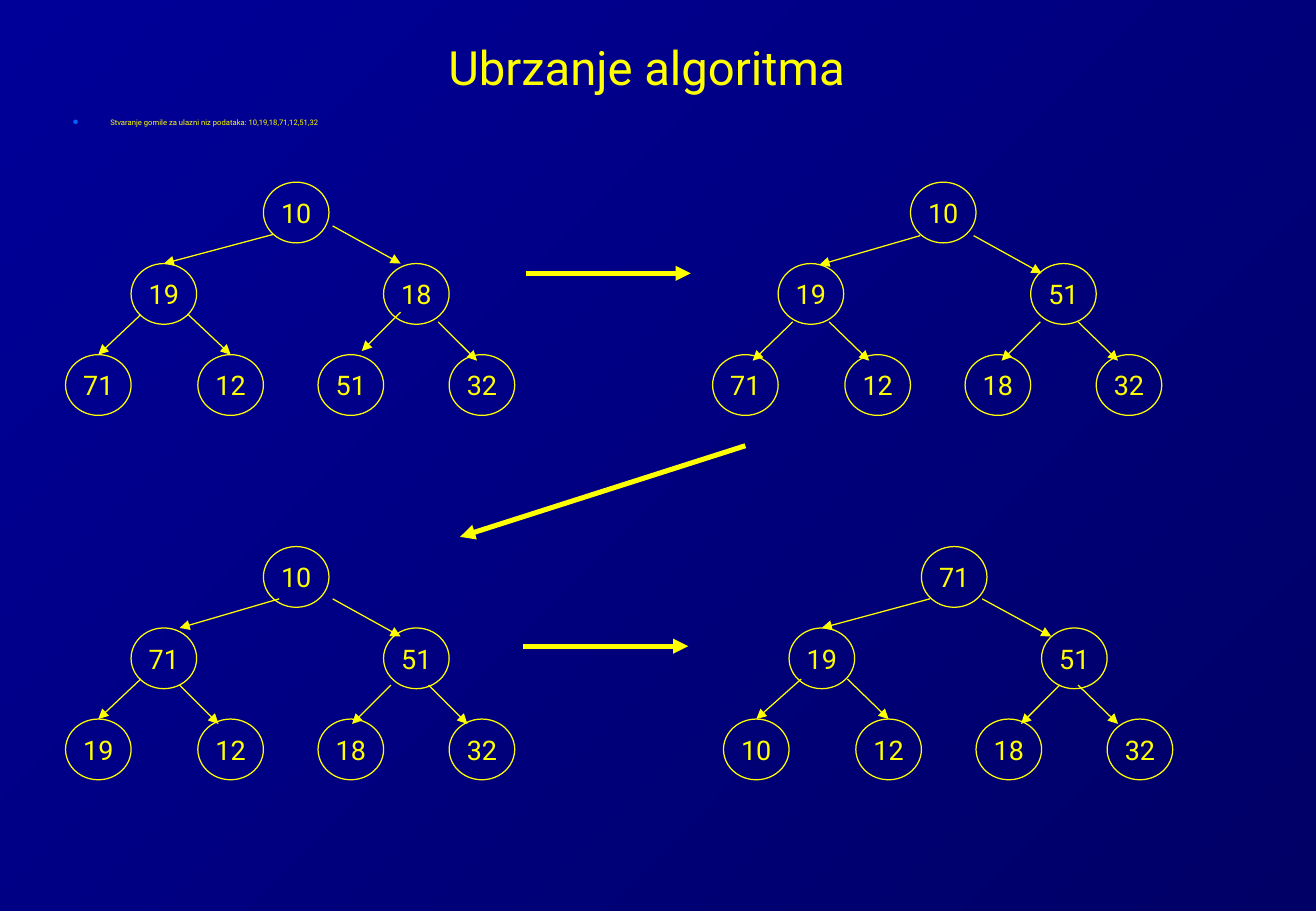
import pptx
import pptx.dml.color
import pptx.enum.shapes
import pptx.enum.text
import pptx.oxml.ns
import pptx.util
from lxml import etree

PX = 9144  # EMU per px, 100 px to the inch
COLORS = {"ink": "FFFF00", "bullet": "0066FF", "dark": "000066", "light": "000099"}
ALIGN = pptx.enum.text.PP_ALIGN
ANCHOR = pptx.enum.text.MSO_ANCHOR

NODE_SIZE = (54, 50)
NODE_OFFSETS = [(163, 0), (54, 67), (262, 67), (0, 142), (109, 142), (208, 142), (316, 142)]

# Heap states: corner, values in level order, and the arrow to each child from its parent
TREES = [
    ((54, 150), [10, 19, 18, 71, 12, 51, 32], [
        (225, 193, 135, 217), (274, 186, 330, 217), (116, 259, 81, 292),
        (155, 259, 190, 292), (330, 257, 298, 289), (361, 265, 393, 297)]),
    ((587, 150), [10, 19, 51, 71, 12, 18, 32], [
        (758, 194, 675, 218), (802, 194, 858, 225), (653, 265, 620, 297),
        (683, 265, 716, 297), (857, 265, 825, 297), (888, 265, 921, 297)]),
    ((596, 450), [71, 19, 51, 10, 12, 18, 32], [
        (766, 493, 679, 517), (809, 493, 866, 524), (660, 559, 623, 592),
        (698, 559, 731, 592), (873, 564, 841, 596), (888, 564, 921, 596)]),
    ((54, 450), [10, 71, 51, 19, 12, 18, 32], [
        (230, 493, 148, 517), (274, 493, 330, 524), (116, 559, 81, 592),
        (148, 564, 180, 596), (322, 564, 290, 596), (353, 564, 385, 596)]),
]
STEP_ARROWS = [(433, 225, 569, 225), (614, 367, 379, 442), (431, 532, 567, 532)]


def rgb(name):
    return pptx.dml.color.RGBColor.from_string(COLORS[name])


def add_xml(parent, tag, **attributes):
    return etree.SubElement(parent, pptx.oxml.ns.qn(tag), attributes)


class HeapSlide:
    font_name = "Roboto"

    def __init__(self, deck):
        self.page = deck.slides.add_slide(deck.slide_layouts[5])

    def background(self):
        fill = self.page.background.fill
        fill.gradient()
        fill.gradient_angle = 135
        for stop, name, position in zip(fill.gradient_stops, ("dark", "light"), (0, 1)):
            stop.color.rgb = rgb(name)
            stop.position = position

    def put_text(self, box, text, size, align, **frame_format):
        frame = box.text_frame
        frame_format["auto_size"] = pptx.enum.text.MSO_AUTO_SIZE.NONE
        for name, value in frame_format.items():
            setattr(frame, name, value)
        para = frame.paragraphs[0]
        para.alignment = align
        span = para.add_run()
        span.text = text
        font_format = {"name": self.font_name, "size": pptx.util.Pt(size), "bold": False}
        for name, value in font_format.items():
            setattr(span.font, name, value)
        span.font.color.rgb = rgb("ink")
        return para

    def title(self, text, left, top, width, height):
        box = self.page.shapes.title
        place = {"left": left, "top": top, "width": width, "height": height}
        for name, value in place.items():
            setattr(box, name, value * PX)
        self.put_text(box, text, 28, ALIGN.CENTER,
                      vertical_anchor=ANCHOR.BOTTOM, word_wrap=True)

    def bullet(self, text, *place):
        box = self.page.shapes.add_textbox(*(value * PX for value in place))
        para = self.put_text(box, text, 4.5, ALIGN.LEFT, word_wrap=True)
        properties = para._p.get_or_add_pPr()
        properties.set("marL", str(81 * PX))
        properties.set("indent", str(-31 * PX))
        add_xml(add_xml(properties, "a:buClr"), "a:srgbClr", val=COLORS["bullet"])
        add_xml(properties, "a:buChar", char="●")

    def node(self, value, left, top):
        place = (length * PX for length in (left, top, *NODE_SIZE))
        oval = self.page.shapes.add_shape(pptx.enum.shapes.MSO_SHAPE.OVAL, *place)
        oval.shadow.inherit = False
        oval.fill.background()
        oval.line.color.rgb = rgb("ink")
        oval.line.width = pptx.util.Pt(0.75)
        self.put_text(oval, str(value), 16, ALIGN.CENTER,
                      vertical_anchor=ANCHOR.MIDDLE, word_wrap=False)
        return oval

    def arrow(self, ends, width):
        line = self.page.shapes.add_connector(
            pptx.enum.shapes.MSO_CONNECTOR.STRAIGHT, *(value * PX for value in ends))
        line.line.color.rgb = rgb("ink")
        line.line.width = pptx.util.Pt(width)
        properties = line._element.spPr
        add_xml(properties.find(pptx.oxml.ns.qn("a:ln")), "a:tailEnd", type="triangle")
        add_xml(properties, "a:effectLst")
        return line

    def tree(self, corner, values, edges):
        nodes = [self.node(value, corner[0] + x, corner[1] + y)
                 for value, (x, y) in zip(values, NODE_OFFSETS)]
        for child, ends in zip(nodes[1:], edges):
            line = self.arrow(ends, 0.75)
            # Join arrows that reach the top of the child node
            gap_x = abs(child.left + child.width // 2 - line.end_x)
            gap_y = abs(child.top - line.end_y)
            if max(gap_x, gap_y) <= 2 * PX:
                line.end_connect(child, 0)


def main():
    deck = pptx.Presentation()
    deck.slide_width, deck.slide_height = 1084 * PX, 750 * PX
    slide = HeapSlide(deck)
    slide.background()

    # Heading
    slide.title("Ubrzanje algoritma", 54, 0, 957, 83)
    slide.bullet("Stvaranje gomile za ulazni niz podataka: 10,19,18,71,12,51,32", 0, 92, 1029, 17)

    # Heap states
    for corner, values, edges in TREES:
        slide.tree(corner, values, edges)

    # Steps between the states
    for ends in STEP_ARROWS:
        slide.arrow(ends, 3)

    deck.save("out.pptx")


if __name__ == "__main__":
    main()
